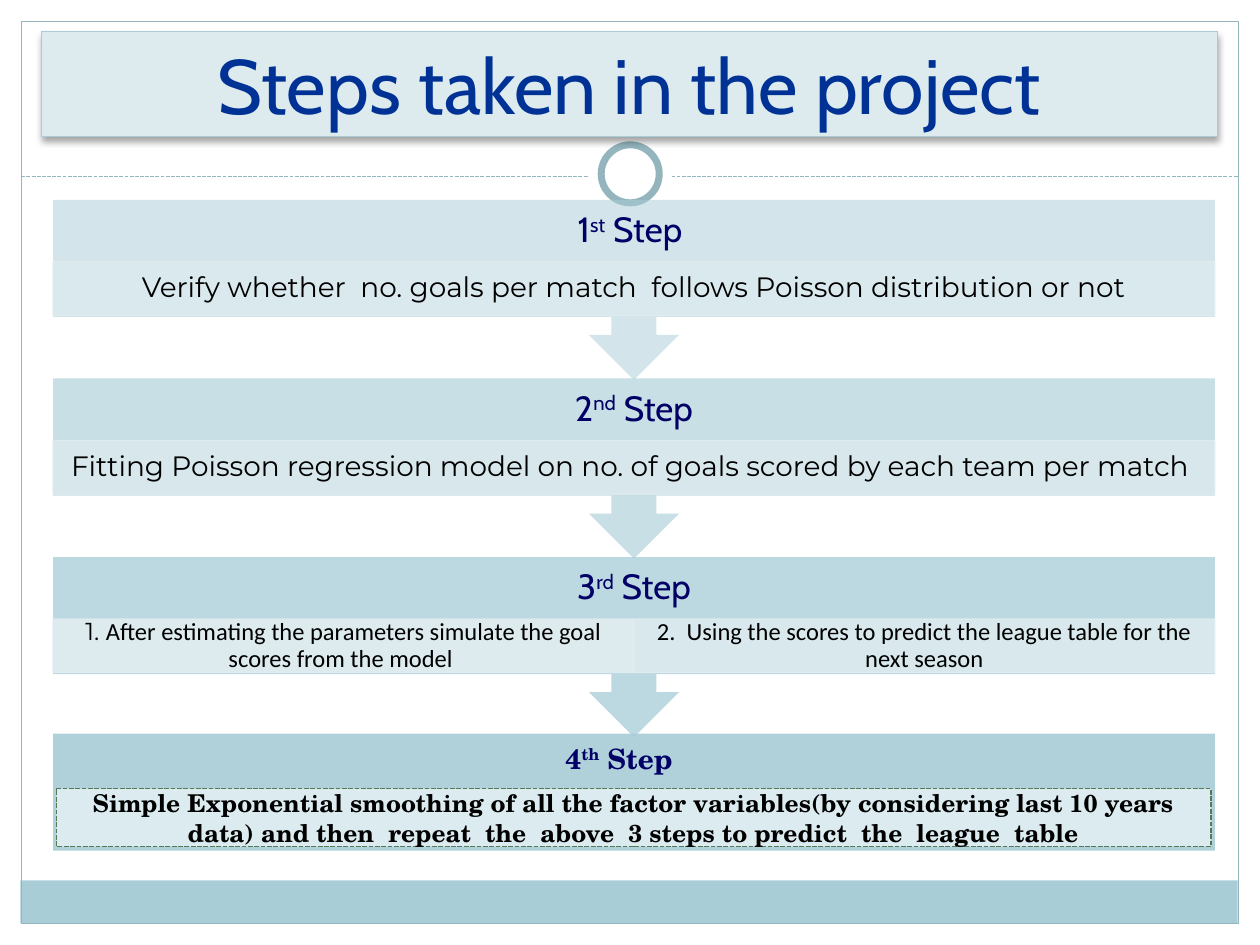
"""Build the slide that lists the four steps of the football project."""
from dataclasses import dataclass
from typing import Optional

from lxml.etree import SubElement
from pptx import Presentation
from pptx.dml.color import RGBColor
from pptx.enum.dml import MSO_LINE
from pptx.enum.shapes import MSO_CONNECTOR, MSO_SHAPE as Preset
from pptx.enum.text import MSO_ANCHOR as Anchor, MSO_AUTO_SIZE as AutoSize, PP_ALIGN as Align
from pptx.oxml.ns import qn
from pptx.util import Cm, Pt

COLORS = {
    "white": "FFFFFF", "band": "A8CDD7", "edge": "94B5BE", "title_fill": "DDEAEE",
    "title": "003296", "heading": "000066", "body": "000000", "detail": "E1EDF0",
    "final_fill": "DCEBEF", "final_edge": "547957",
}
STEP_LEFT, STEP_TOP, STEP_WIDTH, STEP_PITCH = 1.07, 4.03, 23.42, 3.6
CALLOUT_HEIGHT, HEADING_HEIGHT = 3.63, 1.27
DETAIL_OFFSET, DETAIL_HEIGHT = 1.25, 1.08


@dataclass(frozen=True)
class Box:
    left: float
    top: float
    width: float
    height: float

    def lengths(self) -> tuple:
        return Cm(self.left), Cm(self.top), Cm(self.width), Cm(self.height)


@dataclass(frozen=True)
class Outline:
    color: str
    width: float = 0.75
    dashed: bool = False
    opacity: int = 100


@dataclass(frozen=True)
class Run:
    text: str
    font: str
    size: float
    color: str = "body"
    bold: bool = False
    raised: bool = False


@dataclass(frozen=True)
class Detail:
    runs: list
    opacity: int


@dataclass(frozen=True)
class Step:
    number: str
    ordinal: str
    label: str
    opacity: int
    details: list


def rgb(name: str) -> RGBColor:
    return RGBColor.from_string(COLORS[name])


def set_opacity(parent, percent: int) -> None:
    if percent < 100:
        color = parent.find(f"{qn('a:solidFill')}/{qn('a:srgbClr')}")
        SubElement(color, qn("a:alpha"), val=str(percent * 1000))


def style_line(line, outline: Outline) -> None:
    line.color.rgb = rgb(outline.color)
    line.width = Pt(outline.width)
    if outline.dashed:
        line.dash_style = MSO_LINE.SQUARE_DOT


def add_panel(slide, preset, box: Box, fill: Optional[str] = None,
              outline: Optional[Outline] = None, opacity: int = 100):
    panel = slide.shapes.add_shape(preset, *box.lengths())
    panel.shadow.inherit = False
    properties = panel._element.spPr
    if fill:
        panel.fill.solid()
        panel.fill.fore_color.rgb = rgb(fill)
        set_opacity(properties, opacity)
    else:
        panel.fill.background()
    if outline:
        style_line(panel.line, outline)
        set_opacity(properties.find(qn("a:ln")), outline.opacity)
    else:
        panel.line.fill.background()
    return panel


def write(holder, runs: list, anchor=Anchor.MIDDLE, spacing: float = 1,
          insets: tuple = (0.25, 0.13)) -> None:
    frame = holder.text_frame
    frame.word_wrap = True
    frame.vertical_anchor = anchor
    frame.margin_left = frame.margin_right = Cm(insets[0])
    frame.margin_top = frame.margin_bottom = Cm(insets[1])
    paragraph = frame.paragraphs[0]
    paragraph.alignment = Align.CENTER
    paragraph.line_spacing = spacing
    for part in runs:
        run = paragraph.add_run()
        run.text = part.text
        run.font.name = part.font
        run.font.size = Pt(part.size)
        run.font.bold = part.bold
        run.font.color.rgb = rgb(part.color)
        if part.raised:
            run._r.get_or_add_rPr().set("baseline", "30000")


def heading_runs(number: str, ordinal: str, label: str, font: str, size: float,
                 bold: bool = False) -> list:
    return [Run(number, font, size, "heading", bold),
            Run(ordinal, font, size, "heading", bold, raised=True),
            Run(label, font, size, "heading", bold)]


def add_backdrop(slide) -> None:
    add_panel(slide, Preset.RECTANGLE, Box(0.41, 17.75, 24.54, 0.86), "band")
    add_panel(slide, Preset.RECTANGLE, Box(0.43, 0.43, 24.54, 18.19), outline=Outline("edge"))
    divider = slide.shapes.add_connector(
        MSO_CONNECTOR.STRAIGHT, Cm(0.43), Cm(3.56), Cm(24.97), Cm(3.56))
    style_line(divider.line, Outline("edge", dashed=True))
    SubElement(divider._element.spPr, qn("a:effectLst"))
    add_panel(slide, Preset.OVAL, Box(11.85, 2.67, 1.7, 1.7), "white")
    add_panel(slide, Preset.OVAL, Box(12.12, 2.92, 1.17, 1.17), "white", Outline("edge", 4))


def add_title(slide) -> None:
    title = add_panel(slide, Preset.RECTANGLE, Box(0.84, 0.64, 23.7, 2.11),
                      "title_fill", Outline("band"))
    effects = title._element.spPr.find(qn("a:effectLst"))
    shadow = SubElement(effects, qn("a:outerShdw"), blurRad=str(Pt(4)), dist=str(Pt(2)),
                        dir="5400000", rotWithShape="0")
    shade = SubElement(shadow, qn("a:srgbClr"), val=COLORS["body"])
    SubElement(shade, qn("a:alpha"), val="35000")
    write(title, [Run("Steps taken in the project", "Cabin", 44, "title")], Anchor.BOTTOM)


def add_step(slide, step: Step, top: float) -> None:
    callout = add_panel(slide, Preset.UP_ARROW_CALLOUT,
                        Box(STEP_LEFT, top, STEP_WIDTH, CALLOUT_HEIGHT), "band",
                        opacity=step.opacity)
    callout.rotation = 180
    heading = slide.shapes.add_textbox(
        *Box(STEP_LEFT, top, STEP_WIDTH, HEADING_HEIGHT).lengths())
    write(heading, heading_runs(step.number, step.ordinal, step.label, "Cabin", 20),
          spacing=0.9, insets=(0.4, 0.4))
    width = STEP_WIDTH / len(step.details)
    for column, detail in enumerate(step.details):
        box = Box(STEP_LEFT + column * width, top + DETAIL_OFFSET, width, DETAIL_HEIGHT)
        panel = add_panel(slide, Preset.RECTANGLE, box, "detail",
                          Outline("detail", opacity=90), detail.opacity)
        write(panel, detail.runs, spacing=0.9, insets=(0.3, 0.05))


def add_final_step(slide) -> None:
    font = "TeX Gyre Schola"
    summary = add_panel(slide, Preset.RECTANGLE, Box(1.14, 15.9, 23.27, 1.17),
                        "final_fill", Outline("final_edge", 0.9, dashed=True))
    write(summary, [Run("Simple Exponential smoothing of all the factor variables(by considering "
                        "last 10 years data) and then  repeat  the  above  3 steps to predict  "
                        "the  league  table", font, 14, bold=True)])
    heading = slide.shapes.add_textbox(*Box(10.36, 14.81, 4.24, 0.94).lengths())
    write(heading, heading_runs("4", "th", " Step", font, 16, True), Anchor.TOP)
    heading.text_frame.auto_size = AutoSize.SHAPE_TO_FIT_TEXT


STEPS = [
    Step("1", "st", " Step ", 50, [Detail([Run(
        "Verify whether  no. goals per match  follows Poisson distribution or not",
        "Montserrat", 16)], 50)]),
    Step("2", "nd", " Step", 63, [Detail([Run(
        "Fitting Poisson regression model on no. of goals scored by each team per match ",
        "Montserrat", 16)], 63)]),
    Step("3", "rd", " Step", 77, [
        Detail([Run("1. ", "Montserrat", 14),
                Run("After estimating the parameters simulate the goal scores from the model ",
                    "Calibri", 14)], 90),
        Detail([Run("2.  Using the scores to predict the league table for the next season",
                    "Calibri", 14)], 77)]),
]


def main() -> None:
    deck = Presentation()
    deck.slide_width, deck.slide_height = Cm(25.4), Cm(19.05)
    slide = deck.slides.add_slide(deck.slide_layouts[6])
    add_backdrop(slide)
    add_title(slide)
    add_panel(slide, Preset.RECTANGLE, Box(STEP_LEFT, 14.79, STEP_WIDTH, 2.36), "band", opacity=90)
    for index, step in reversed(list(enumerate(STEPS))):
        add_step(slide, step, STEP_TOP + index * STEP_PITCH)
    add_final_step(slide)
    deck.save("out.pptx")


if __name__ == "__main__":
    main()
